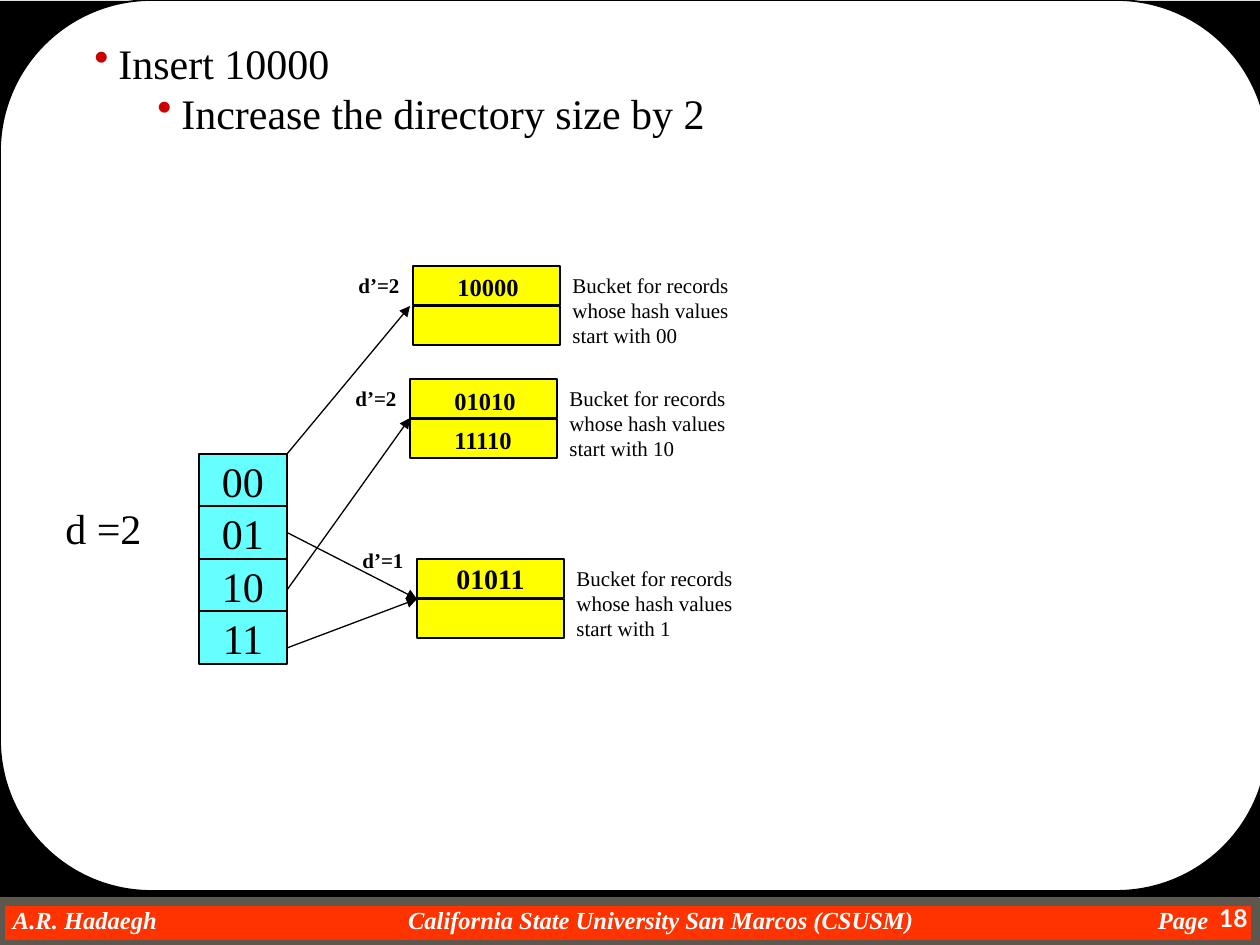
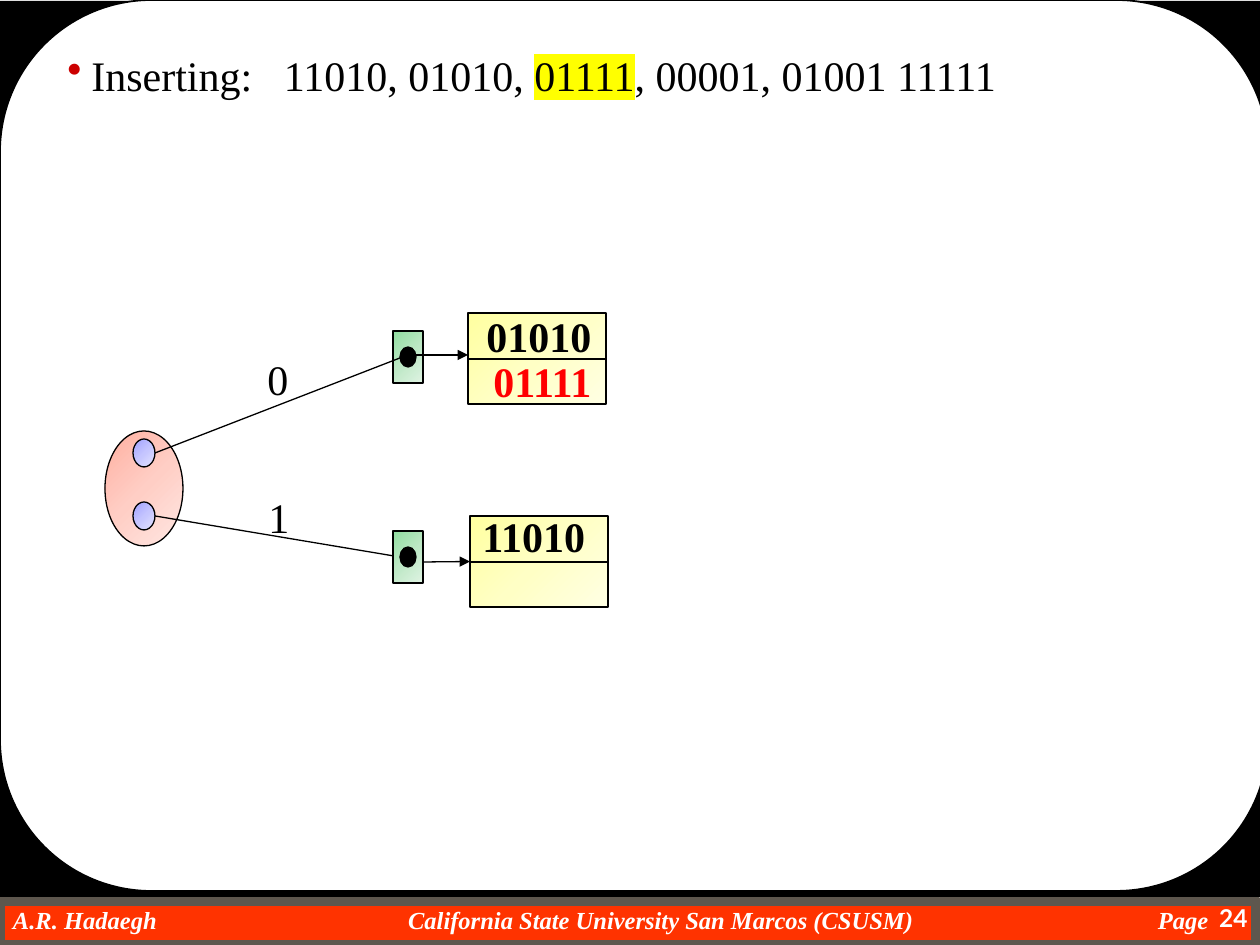
from pptx import Presentation, oxml
from pptx import util as u
from pptx.dml.color import RGBColor
from pptx.enum import shapes, text
from pptx.oxml import ns

PX = 914400 / 126  # EMU in one px
BLACK = RGBColor(0x00, 0x00, 0x00)
WHITE = RGBColor(0xFF, 0xFF, 0xFF)
RED = RGBColor(0xFF, 0x00, 0x00)
ORANGE = RGBColor(0xFF, 0x33, 0x00)
GREY = RGBColor(0x5E, 0x57, 0x4E)
CYAN = RGBColor(0x66, 0xFF, 0xFF)
YELLOW = RGBColor(0xFF, 0xFF, 0x00)
BULLET = RGBColor(0xCC, 0x00, 0x00)

# Gradient stops, dark to light
PINKS = [RGBColor(0xFF, 0xAF, 0xA0), RGBColor(0xFF, 0xCE, 0xC5), RGBColor(0xFF, 0xE7, 0xE3)]
BLUES = [RGBColor(0xA0, 0xA0, 0xFF), RGBColor(0xC5, 0xC5, 0xFF), RGBColor(0xE3, 0xE3, 0xFF)]
GREENS = [RGBColor(0x91, 0xDE, 0xA0), RGBColor(0xBD, 0xE8, 0xC5), RGBColor(0xDF, 0xF3, 0xE3)]
CREAMS = [RGBColor(0xFF, 0xFF, 0xA0), RGBColor(0xFF, 0xFF, 0xC5), RGBColor(0xFF, 0xFF, 0xE3)]

RECT = shapes.MSO_SHAPE.RECTANGLE
ROUND = shapes.MSO_SHAPE.ROUNDED_RECTANGLE
OVAL = shapes.MSO_SHAPE.OVAL
LEFT, CENTER, RIGHT = text.PP_ALIGN.LEFT, text.PP_ALIGN.CENTER, text.PP_ALIGN.RIGHT
BASE = {"name": "Times New Roman", "size": 24, "color": BLACK}


def px(n):
    return u.Emu(round(n * PX))


def xml(tag, body="", attrs=""):
    return oxml.parse_xml(f'<a:{tag} {ns.nsdecls("a")} {attrs}>{body}</a:{tag}>')


def rgb(color):
    return f'<a:srgbClr val="{color}"/>'


class Deck:
    def __init__(self):
        self.prs = Presentation()
        self.prs.slide_width, self.prs.slide_height = px(1260), px(945)
        self.s = None

    def slide(self, number):
        """Start a slide with the frame and the footer band."""
        self.s = self.prs.slides.add_slide(self.prs.slide_layouts[6])
        self.shape(0, 901, 1256, 44, ORANGE, line=GREY, weight=6)
        for x, w, words, align in ((13, 300, "A.R. Hadaegh", LEFT),
                                   (361, 600, "California State University San Marcos (CSUSM)", CENTER),
                                   (1158, 60, "Page", LEFT)):
            self.label(x, 905, w, 29, words, align=align, inset=0,
                       size=14, bold=True, italic=True, color=WHITE)
        self.shape(0, 1, 1260, 896, BLACK, line=None)
        frame = self.shape(0, 0, 1268, 891, WHITE, kind=ROUND, weight=1)
        frame.adjustments[0] = 0.17
        self.label(1166, 897, 94, 48, number, align=RIGHT,
                   name="Lato", size=14, bold=True, color=WHITE)

    def run(self, p, words, highlight=None, gap=None, **fmt):
        r = p.add_run()
        r.text = words
        for key, value in {**BASE, **fmt}.items():
            if key == "color":
                r.font.color.rgb = value
            else:
                setattr(r.font, key, u.Pt(value) if key == "size" else value)
        rpr = r._r.get_or_add_rPr()
        if highlight:
            rpr.find(ns.qn("a:solidFill")).addnext(xml("highlight", rgb(highlight)))
        if gap:
            rpr.set("spc", str(gap * 100))

    def shape(self, x, y, w, h, fill, kind=RECT, line=BLACK, weight=0.75):
        sp = self.s.shapes.add_shape(kind, px(x), px(y), px(w), px(h))
        sp.shadow.inherit = False
        if isinstance(fill, list):
            stops = "".join(f'<a:gs pos="{i * 50000}">{rgb(c)}</a:gs>' for i, c in enumerate(fill))
            body = (f'<a:gsLst>{stops}</a:gsLst><a:path path="circle">'
                    '<a:fillToRect r="100000" b="100000"/></a:path>')
            sp._element.spPr.insert(2, xml("gradFill", body, 'rotWithShape="1"'))
        else:
            sp.fill.solid()
            sp.fill.fore_color.rgb = fill
        if line is None:
            sp.line.fill.background()
        else:
            sp.line.color.rgb = line
            sp.line.width = u.Pt(weight)
        return sp

    def cell(self, x, y, w, h, fill, words="", **fmt):
        sp = self.shape(x, y, w, h, fill)
        if words:
            tf = sp.text_frame
            tf.word_wrap = False
            tf.vertical_anchor = text.MSO_ANCHOR.MIDDLE
            tf.paragraphs[0].alignment = CENTER
            self.run(tf.paragraphs[0], words, **fmt)
        return sp

    def textbox(self, x, y, w, h, wrap=True):
        tf = self.s.shapes.add_textbox(px(x), px(y), px(w), px(h)).text_frame
        tf.word_wrap = wrap
        return tf

    def label(self, x, y, w, h, words, align=LEFT, wrap=True, inset=None, **fmt):
        tf = self.textbox(x, y, w, h, wrap)
        if inset is not None:
            for side in ("left", "top", "right", "bottom"):
                setattr(tf, f"margin_{side}", px(inset))
        tf.paragraphs[0].alignment = align
        self.run(tf.paragraphs[0], words, **fmt)

    def bullets(self, x, y, w, h, items):
        """Each item is a level and a list of (words, format) runs."""
        tf = self.textbox(x, y, w, h)
        for i, (level, runs) in enumerate(items):
            p = tf.add_paragraph() if i else tf.paragraphs[0]
            p.level = level
            ppr = p._p.get_or_add_pPr()
            ppr.set("marL", str(px(24 + 63 * level)))
            ppr.set("indent", str(px(-24)))
            ppr.append(xml("buClr", rgb(BULLET)))
            ppr.append(xml("buChar", attrs='char="•"'))
            for words, fmt in runs:
                self.run(p, words, **fmt)

    def line(self, x1, y1, x2, y2, arrow=False, begin=None, end=None):
        """begin and end are (shape, site) pairs to join."""
        c = self.s.shapes.add_connector(shapes.MSO_CONNECTOR.STRAIGHT,
                                        px(x1), px(y1), px(x2), px(y2))
        c.line.color.rgb = BLACK
        c.line.width = u.Pt(0.75)
        if arrow:
            c.line._get_or_add_ln().append(xml("tailEnd", attrs='type="triangle"'))
        c._element.spPr.append(xml("effectLst"))
        if begin:
            c.begin_connect(*begin)
        if end:
            c.end_connect(*end)

    def bucket(self, x, y, depth, prefix, depth_dy=0):
        """Two-record bucket with its local depth and a note."""
        cells = [self.cell(x, y + 40 * i, 147, 39, YELLOW) for i in range(2)]
        self.label(x - 67, y + depth_dy, 82, 38, f"d’={depth}", size=12, bold=True)
        self.label(x + 147, y, 220, 88,
                   f"Bucket for records whose hash values start with {prefix}", size=12)
        return cells

    def pointer(self, y):
        """Leaf node holding a pointer dot."""
        self.shape(393, y, 30, 52, GREENS)
        self.shape(400, y + 16, 16, 20, BLACK, kind=OVAL)

    def leaf(self, x, y):
        sp = self.shape(x, y, 138, 91, CREAMS)
        self.line(x, y + 46, x + 138, y + 46)
        return sp


def directory_slide(deck):
    deck.slide("18")
    deck.bullets(82, 31, 945, 113, [(0, [("Insert 10000", {})]),
                                    (1, [("Increase the directory size by 2", {})])])
    # Directory
    rows = [deck.cell(199, 454 + 105 * i // 2, 88, 53, CYAN, key)
            for i, key in enumerate(("00", "01", "10", "11"))]
    deck.label(53, 496, 102, 63, "d =2", wrap=False)
    # Buckets and their records
    deck.bucket(413, 266, 2, "00")
    deck.bucket(410, 379, 2, "10")
    top = deck.bucket(417, 559, 1, "1", depth_dy=-18)[0]
    p = top.text_frame.paragraphs[0]
    p.alignment = CENTER
    deck.run(p, "01011", size=16, bold=True)
    for x, y, record in ((445, 266, "10000"), (442, 380, "01010"), (442, 419, "11110")):
        deck.label(x, y, 95, 42, record, size=14, bold=True)
    # Directory pointers
    deck.line(287, 454, 410, 306, arrow=True)
    deck.line(289, 534, 417, 599, arrow=True, begin=(rows[1], 3))
    deck.line(287, 590, 410, 418, arrow=True)
    deck.line(287, 648, 417, 599, arrow=True)


def trie_slide(deck):
    deck.slide("24")
    deck.bullets(55, 43, 998, 63, [(0, [("Inserting:", {}), (" ", {"gap": 12}),
                                        ("11010, 01010, ", {}),
                                        ("01111", {"highlight": YELLOW}),
                                        (", 00001, 01001 11111", {})])])
    # Root node
    deck.shape(105, 431, 78, 115, PINKS, kind=OVAL)
    for y in (439, 502):
        deck.shape(133, y, 22, 28, BLUES, kind=OVAL)
    # Branches and leaves
    deck.pointer(331)
    deck.line(155, 453, 400, 358)
    deck.line(155, 516, 400, 557)
    deck.line(412, 355, 468, 355, arrow=True)
    deck.leaf(468, 313)
    low = deck.leaf(470, 516)
    deck.line(423, 562, 468, 562, arrow=True, end=(low, 1))
    deck.pointer(531)
    # Branch bits and records
    for x, y, bit in ((255, 347, "0"), (256, 485, "1")):
        deck.label(x, y, 47, 63, bit, wrap=False)
    for x, y, w, record, color in ((470, 504, 129, "11010", BLACK),
                                   (474, 304, 131, "01010", BLACK),
                                   (481, 349, 125, "01111", RED)):
        deck.label(x, y, w, 63, record, wrap=False, bold=True, color=color)


def main():
    deck = Deck()
    directory_slide(deck)
    trie_slide(deck)
    deck.prs.save("out.pptx")


if __name__ == "__main__":
    main()
